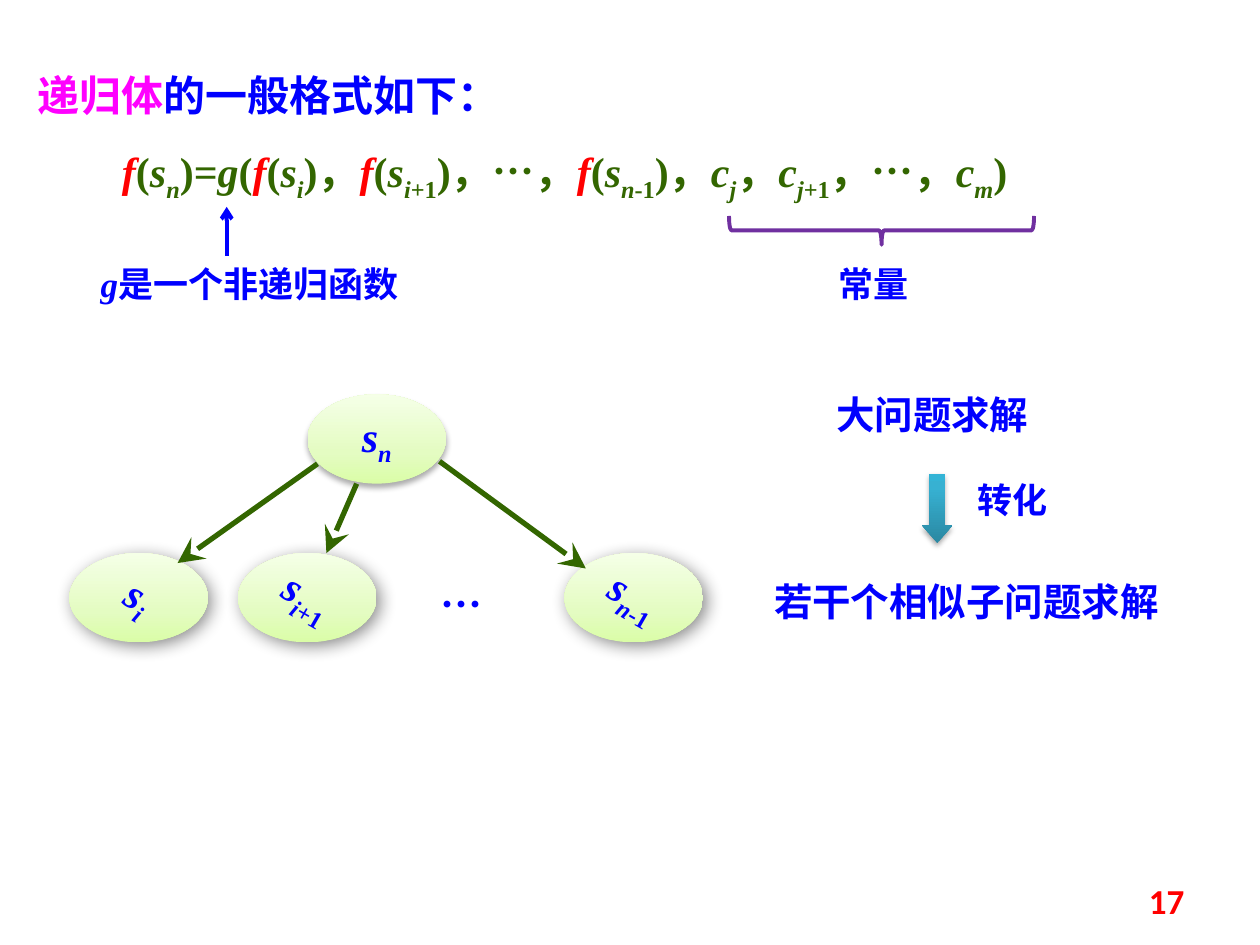
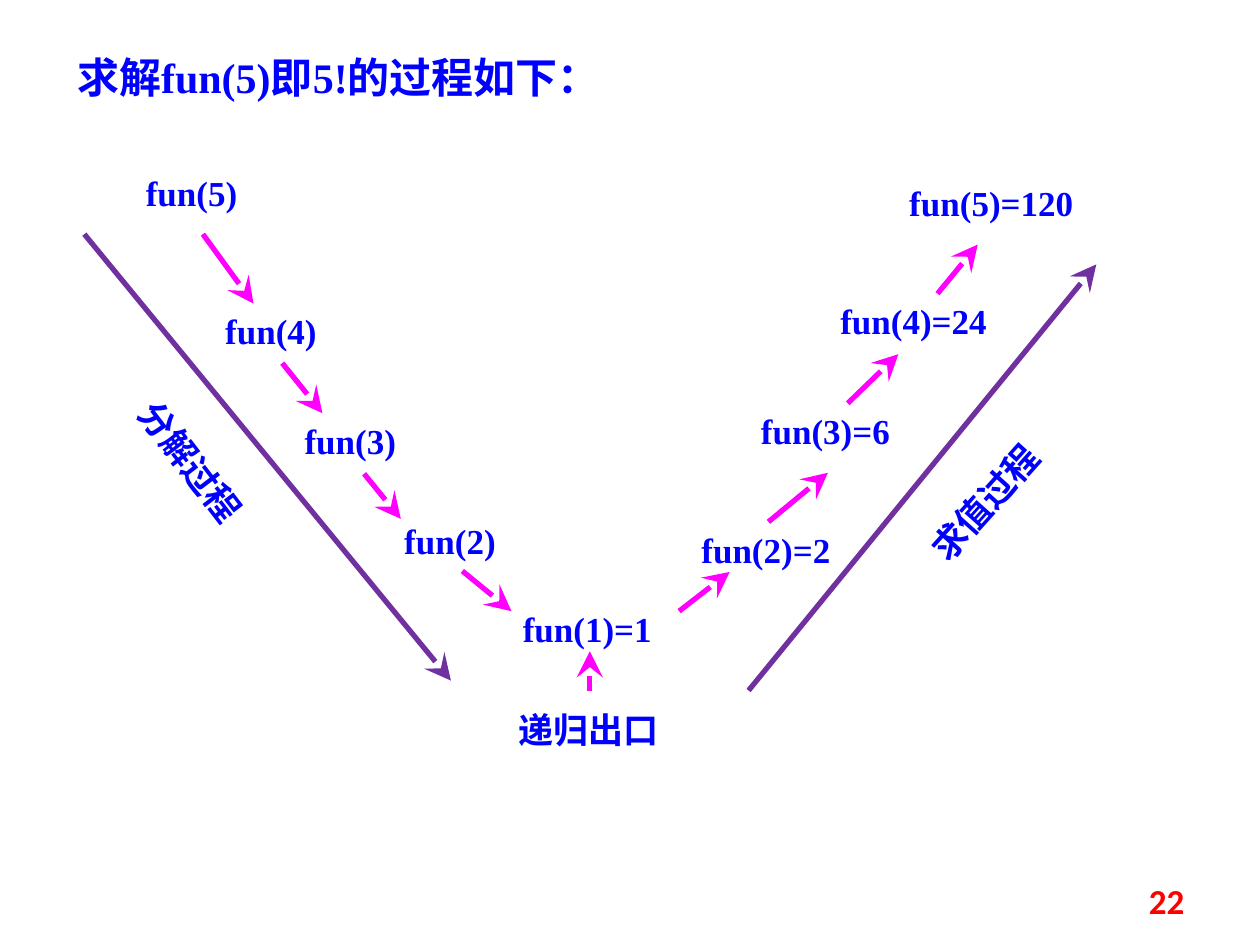
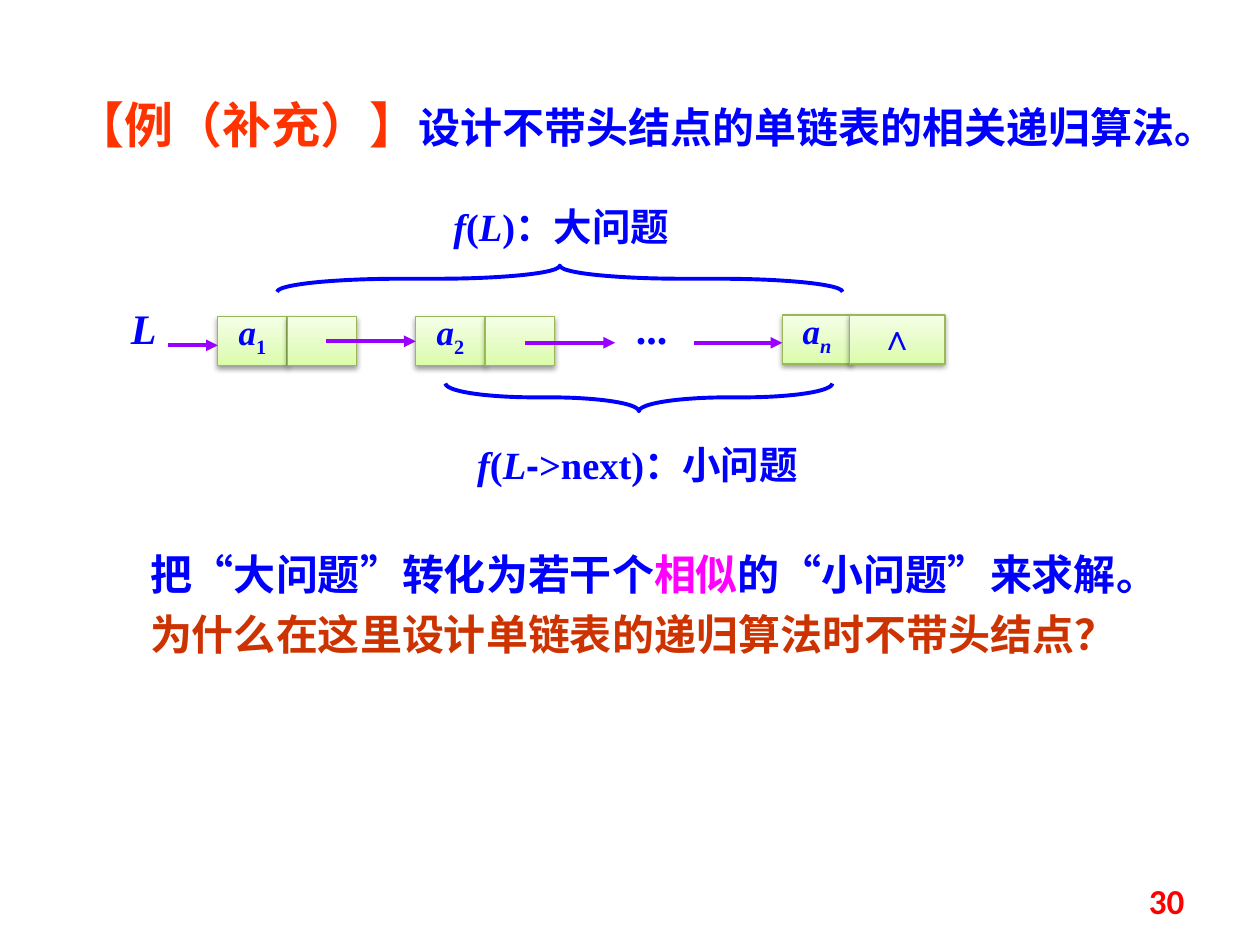
from typing import NamedTuple

from lxml import etree
from pptx import Presentation
from pptx import util as u
from pptx.dml.color import RGBColor
from pptx.enum import shapes, text
from pptx.oxml.ns import qn

BLUE, RED, PINK = "0000FF", "FF0000", "FF00FF"
GREEN, PURPLE, VIOLET = "336600", "7030A0", "9900FF"
ORANGE, RUST, LEAF = "FF3300", "CC3300", "98B955"
LATIN, CHINESE = "Times New Roman", "Noto Sans CJK SC"
PALE_GREEN = [(0, "DAFDA7"), (35, "E4FCC2"), (100, "F5FFE7")]
TEAL = [(0, "2A88A2"), (80, "37B1D2"), (100, "34B4D6")]
CENTER = text.PP_ALIGN.CENTER


class Span(NamedTuple):
    words: str
    marks: str = ""
    colour: str = None
    size: float = None
    font: str = LATIN


def rgb(value):
    return RGBColor.from_string(value)


def cm(values):
    return [u.Cm(value) for value in values]


def add_xml(parent, tag, **attributes):
    child = etree.SubElement(parent, qn(tag))
    for name, value in attributes.items():
        child.set(name, str(value))
    return child


def write(para, spans, size, colour, align=None):
    if isinstance(spans, str):
        spans = [Span(spans)]
    para.alignment = align
    para.space_before = u.Pt(0)
    for span in spans:
        run = para.add_run()
        run.text = span.words
        run.font.size = u.Pt(span.size or size)
        run.font.bold = True
        run.font.italic = "i" in span.marks
        run.font.color.rgb = rgb(span.colour or colour)
        run.font.name = span.font
        properties = run.font._element
        add_xml(properties, "a:ea", typeface=CHINESE)
        if "_" in span.marks:
            properties.set("baseline", "-25000")


def place(box, at):
    box.left, box.top, box.width, box.height = cm(at)
    frame = box.text_frame
    frame.word_wrap = True
    frame.auto_size = text.MSO_AUTO_SIZE.NONE
    frame.vertical_anchor = text.MSO_ANCHOR.TOP
    return frame


def add_label(page, at, spans, size=20, colour=BLUE, align=None, turn=0):
    box = page.shapes.add_textbox(*cm(at))
    frame = place(box, at)
    box.rotation = turn
    write(frame.paragraphs[0], spans, size, colour, align)
    return frame


def add_page(deck, layout, title, title_at, number, align=text.PP_ALIGN.LEFT):
    page = deck.slides.add_slide(deck.slide_layouts[layout])
    frame = place(page.shapes.title, title_at)
    write(frame.paragraphs[0], title, 24, BLUE, align)
    frame = add_label(page, (18.21, 17.65, 5.92, 1.02), [Span(number, font="Calibri")],
                      colour=RED, align=text.PP_ALIGN.RIGHT)
    frame.vertical_anchor = text.MSO_ANCHOR.MIDDLE
    return page


def add_body(page, at, paragraphs):
    frame = place(page.placeholders[1], at)
    for index, (spans, colour) in enumerate(paragraphs):
        para = frame.add_paragraph() if index else frame.paragraphs[0]
        properties = para._p.get_or_add_pPr()
        properties.set("marL", "0")
        properties.set("indent", "0")
        add_xml(properties, "a:buNone")
        write(para, spans, 24, colour)
        para.space_before = u.Pt(6 if index else 0)


def add_arrow(page, ends, colour, width=3, head="stealth", size="lg"):
    line = page.shapes.add_connector(shapes.MSO_CONNECTOR.STRAIGHT, *cm(ends))
    line.line.color.rgb = rgb(colour)
    line.line.width = u.Pt(width)
    add_xml(line.line._get_or_add_ln(), "a:tailEnd", type=head, w=size, len=size)
    add_xml(line._element.spPr, "a:effectLst")


def add_preset(page, kind, at, adjustments=()):
    shape = page.shapes.add_shape(kind, *cm(at))
    shape.shadow.inherit = False
    for index, value in enumerate(adjustments):
        shape.adjustments[index] = value
    return shape


def add_brace(page, kind, at, turn, colour, adjustments=()):
    brace = add_preset(page, kind, at, adjustments)
    brace.rotation = turn
    brace.fill.background()
    brace.line.color.rgb = rgb(colour)
    brace.line.width = u.Pt(2.25)


def shade(shape, stops, alpha, blur, distance, direction=90, outline=None):
    shape.fill.gradient()
    shape.fill.gradient_angle = 90
    properties = shape._element.spPr
    stop_list = properties.find(qn("a:gradFill")).find(qn("a:gsLst"))
    stop_list.clear()
    for position, colour in stops:
        stop = add_xml(stop_list, "a:gs", pos=position * 1000)
        add_xml(stop, "a:srgbClr", val=colour)
    if outline:
        shape.line.color.rgb = rgb(outline)
        shape.line.width = u.Pt(0.75)
    else:
        shape.line.fill.background()
    shadow = add_xml(properties.find(qn("a:effectLst")), "a:outerShdw",
                     blurRad=u.Pt(blur), dist=u.Pt(distance),
                     dir=direction * 60000, algn="ctr", rotWithShape=0)
    colour = add_xml(shadow, "a:srgbClr", val="000000")
    add_xml(colour, "a:alpha", val=alpha * 1000)


def fill_shape(shape, spans, size):
    frame = shape.text_frame
    frame.word_wrap = False
    frame.vertical_anchor = text.MSO_ANCHOR.MIDDLE
    write(frame.paragraphs[0], spans, size, BLUE, CENTER)
    return frame


def add_problem(page, left, top, spans, shadow, turn=0):
    oval = add_preset(page, shapes.MSO_SHAPE.OVAL, (left, top, 2.79, 1.8))
    shade(oval, PALE_GREEN, *shadow)
    frame = fill_shape(oval, spans, 24)
    if turn:
        frame._txBody.bodyPr.set("rot", str(turn * 60000))


def add_cell(page, left, top, spans=None, width=1.4):
    cell = add_preset(page, shapes.MSO_SHAPE.RECTANGLE, (left, top, width, 0.99))
    shade(cell, PALE_GREEN, 38, 3.1, 1.6, outline=LEAF)
    if spans:
        fill_shape(cell, spans, 20).paragraphs[0].line_spacing = u.Pt(20)


def term(symbol, index, offset=""):
    spans = [Span(symbol, "i"), Span(index, "i_")]
    return spans + [Span(offset, "_")] if offset else spans


def call(index, offset=""):
    return [Span("f", "i", RED), Span("("), *term("s", index, offset), Span(")")]


def build_recursive_form(deck):
    title = [Span("递归体", colour=PINK), Span("的一般格式如下：")]
    page = add_page(deck, 5, title, (0.51, 1.17, 24.56, 1.6), "17")
    page.shapes.title.text_frame.paragraphs[0].line_spacing = 1.1
    comma, dots = Span("，"), Span("，…，")
    formula = [*call("n"), Span("="), Span("g", "i"), Span("("),
               *call("i"), comma, *call("i", "+1"), dots, *call("n", "-1"), comma,
               *term("c", "j"), comma, *term("c", "j", "+1"), dots,
               *term("c", "m"), Span(")")]
    frame = add_label(page, (2.21, 2.7, 22.8, 1.6), formula, 24, GREEN)
    frame.paragraphs[0].line_spacing = 1.1
    add_label(page, (1.78, 5.16, 7.34, 1.12), [Span("g", "i"), Span("是一个非递归函数")])
    add_arrow(page, (4.57, 5.16, 4.57, 4.17), BLUE, 2.25, "arrow", "med")
    add_brace(page, shapes.MSO_SHAPE.RIGHT_BRACE, (17.48, 1.57, 0.58, 6.15), 90, PURPLE)
    add_label(page, (16.66, 5.16, 2.18, 1.12), "常量")

    add_problem(page, 6.2, 7.95, term("s", "n"), (32, 3.5, 2.2))
    for left, index, offset in [(1.4, "i", ""), (4.8, "i", "+1"), (11.38, "n", "-1")]:
        add_problem(page, left, 11.15, term("s", index, offset), (45, 10, 3, 45), 30)
    add_label(page, (8, 11.53, 2.59, 1.27), [Span("…", font=CHINESE)], 24, align=CENTER)
    for ends in [(6.4, 9.35, 3.58, 11.35), (7.19, 9.75, 6.58, 11.15),
                 (8.86, 9.3, 11.81, 11.46)]:
        add_arrow(page, ends, GREEN)

    add_label(page, (16, 7.75, 5.59, 1.19), "大问题求解", 22, align=CENTER)
    arrow = add_preset(page, shapes.MSO_SHAPE.DOWN_ARROW, (18.59, 9.55, 0.61, 1.4),
                       (0.5, 0.585))
    shade(arrow, TEAL, 35, 3.1, 1.8)
    add_label(page, (19.46, 9.53, 2.59, 1.12), "转化")
    add_label(page, (14.78, 11.53, 9.4, 1.19), "若干个相似子问题求解", 22, align=CENTER)


def build_factorial(deck):
    page = add_page(deck, 5, "求解fun(5)即5!的过程如下：", (1.3, 0.91, 12, 1.27), "22")
    steps = [("fun(5)", 2.69, 3.33), ("fun(4)", 4.29, 6.12), ("fun(3)", 5.89, 8.33),
             ("fun(2)", 7.9, 10.34), ("fun(1)=1", 10.29, 12.12),
             ("fun(2)=2", 13.89, 10.52), ("fun(3)=6", 15.09, 8.13),
             ("fun(4)=24", 16.69, 5.92), ("fun(5)=120", 18.08, 3.53)]
    for words, left, top in steps:
        add_label(page, (left, top, 4.2, 1.09), words)
    step_arrows = [(4.09, 4.72, 5.11, 6.12), (5.69, 7.32, 6.5, 8.33),
                   (7.34, 9.55, 8.08, 10.46), (9.32, 11.51, 10.31, 12.32),
                   (13.69, 12.32, 14.71, 11.53), (15.49, 10.52, 16.69, 9.53),
                   (17.09, 8.13, 18.11, 7.14), (18.9, 5.92, 19.71, 4.93),
                   (11.89, 13.92, 11.89, 13.13)]
    for ends in step_arrows:
        add_arrow(page, ends, PINK)
    for ends in [(1.7, 4.72, 9.09, 13.72), (15.09, 13.92, 22.1, 5.33)]:
        add_arrow(page, ends, PURPLE)
    for words, left, top, turn in [("递归出口", 9.47, 14.15, 0),
                                   ("分解过程", 1.45, 8.76, 52.5),
                                   ("求值过程", 17.45, 9.58, 311.9)]:
        add_label(page, (left, top, 4.8, 1.09), words, align=CENTER, turn=turn)


def build_linked_list(deck):
    title = [Span("【例（补充）】", colour=ORANGE, size=28),
             Span("设计不带头结点的单链表的相关递归算法。")]
    page = add_page(deck, 1, title, (0.99, 1.78, 23.22, 1.45), "30", CENTER)
    for left, index in [(4.39, "1"), (8.38, "2")]:
        add_cell(page, left, 6.38, [Span("a", "i"), Span(index, "_")])
        add_cell(page, left + 1.4, 6.38)
    add_cell(page, 15.77, 6.35, term("a", "n"))
    add_cell(page, 17.12, 6.35, "∧", 1.93)
    for start, end, level in [(3.38, 4.39, 6.96), (6.58, 8.38, 6.88),
                              (10.59, 12.4, 6.91), (14, 15.77, 6.91)]:
        add_arrow(page, (start, level, end, level), VIOLET, 2.25, "triangle", "med")
    add_label(page, (2.39, 5.97, 1.4, 1.27), [Span("L", "i")], 24)
    add_label(page, (12.57, 5.97, 2.01, 1.27), "...", 24)

    left_brace = shapes.MSO_SHAPE.LEFT_BRACE
    add_brace(page, left_brace, (11.02, -0.08, 0.53, 11.4), 90, BLUE, (4.68, 0.5))
    add_brace(page, left_brace, (12.6, 4.11, 0.56, 7.8), 270, BLUE, (3.2, 0.5))
    opening = [Span("f", "i"), Span("("), Span("L", "i")]
    add_label(page, (8.89, 3.96, 5.79, 1.19), [*opening, Span(")：大问题")], 22)
    add_label(page, (9.37, 8.76, 7.8, 1.19),
              [*opening, Span("-", font="Arial"), Span(">next)：小问题")], 22)
    idea = [Span("把“大问题”转化为若干个"), Span("相似", colour=PINK),
            Span("的“小问题”来求解。")]
    question = "为什么在这里设计单链表的递归算法时不带头结点？"
    add_body(page, (2.77, 10.92, 20.83, 2.82), [(idea, BLUE), (question, RUST)])


def main():
    deck = Presentation()
    deck.slide_width, deck.slide_height = cm((25.4, 19.05))
    build_recursive_form(deck)
    build_factorial(deck)
    build_linked_list(deck)
    deck.save("out.pptx")


if __name__ == "__main__":
    main()
